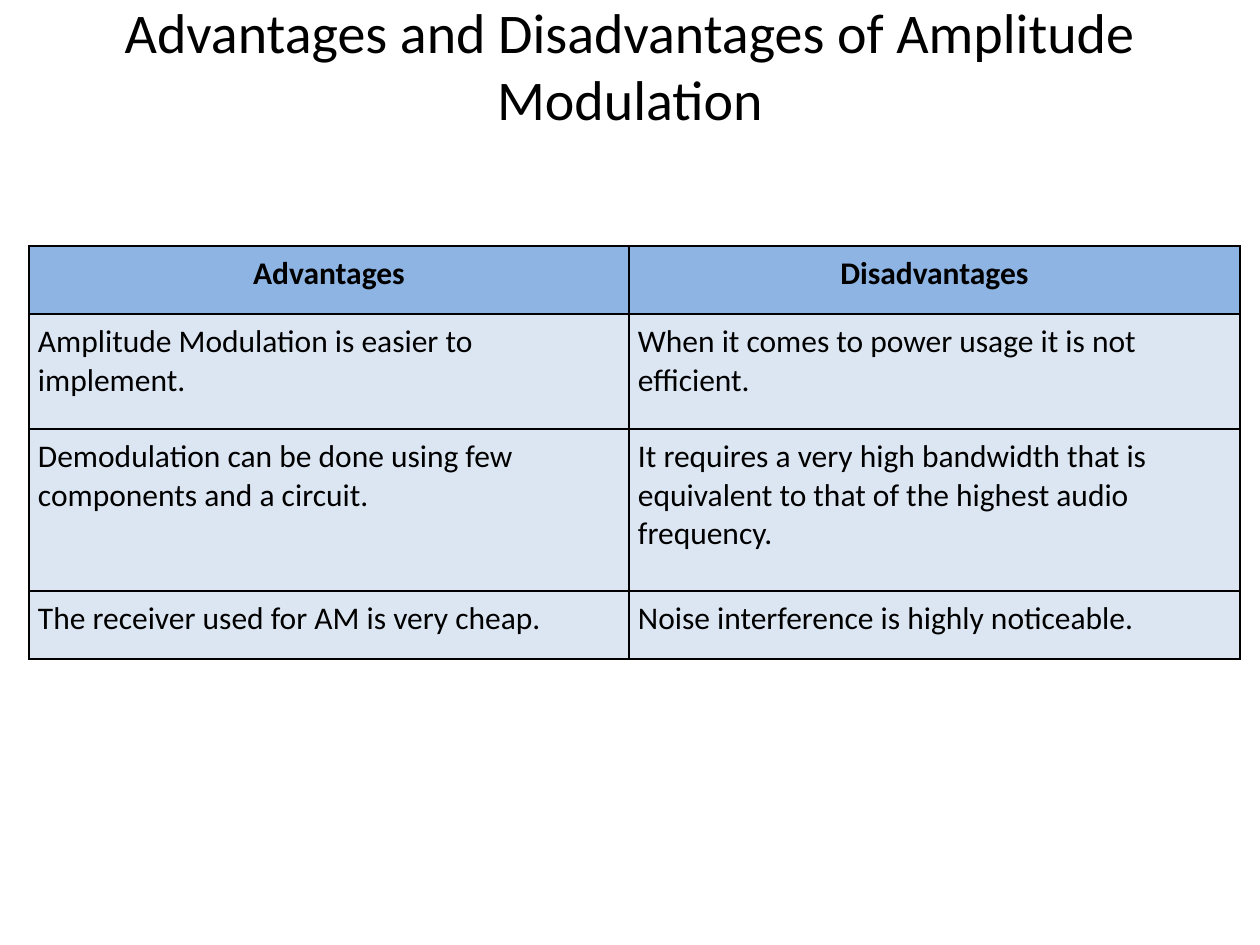
from dataclasses import dataclass

from lxml.etree import SubElement
from pptx import Presentation
from pptx.dml.color import RGBColor
from pptx.enum.text import MSO_ANCHOR, MSO_AUTO_SIZE, PP_ALIGN
from pptx.oxml.ns import qn
from pptx.util import Inches, Pt

SCALE = Inches(1) / 126


@dataclass(frozen=True)
class Theme:
    font: str = "Calibri"
    text: str = "000000"
    border: str = "000000"
    header_fill: str = "8EB4E3"
    body_fill: str = "DCE6F2"
    title_size: int = 32
    table_size: int = 18
    border_width: int = 1


THEME = Theme()

TITLE = "Advantages and Disadvantages of Amplitude Modulation"
COMPARISON = [
    ("Advantages", "Disadvantages"),
    (
        "Amplitude Modulation is easier to implement.",
        "When it comes to power usage it is not efficient.",
    ),
    (
        "Demodulation can be done using few components and a circuit.",
        "It requires a very high bandwidth that is equivalent to that of "
        "the highest audio frequency.",
    ),
    (
        "The receiver used for AM is very cheap.",
        "Noise interference is highly noticeable.\u00a0",
    ),
]
COLUMN_WIDTHS = [600, 611]
ROW_HEIGHTS = [68, 115, 162, 68]
CELL_MARGIN = 9


def px(length):
    return round(length * SCALE)


def format_paragraph(paragraph, size, alignment, bold=False):
    paragraph.alignment = alignment
    paragraph.font.name = THEME.font
    paragraph.font.size = Pt(size)
    paragraph.font.bold = bold
    paragraph.font.color.rgb = RGBColor.from_string(THEME.text)


def set_title(slide, text):
    title = slide.shapes.title
    title.left, title.top, title.width, title.height = map(px, (0, 0, 1260, 129))
    frame = title.text_frame
    frame.text = text
    frame.word_wrap = True
    frame.auto_size = MSO_AUTO_SIZE.NONE
    frame.vertical_anchor = MSO_ANCHOR.MIDDLE
    format_paragraph(frame.paragraphs[0], THEME.title_size, PP_ALIGN.CENTER)


def add_borders(cell):
    properties = cell._tc.get_or_add_tcPr()
    for side in ("a:lnL", "a:lnR", "a:lnT", "a:lnB"):
        line = SubElement(properties, qn(side), w=str(Pt(THEME.border_width)))
        fill = SubElement(line, qn("a:solidFill"))
        SubElement(fill, qn("a:srgbClr"), val=THEME.border)


def format_cell(cell, text, is_header):
    add_borders(cell)
    cell.fill.solid()
    color = THEME.header_fill if is_header else THEME.body_fill
    cell.fill.fore_color.rgb = RGBColor.from_string(color)
    cell.margin_left = cell.margin_right = px(CELL_MARGIN)
    cell.margin_top = cell.margin_bottom = px(CELL_MARGIN)
    cell.vertical_anchor = MSO_ANCHOR.TOP
    cell.text = text
    alignment = PP_ALIGN.CENTER if is_header else PP_ALIGN.LEFT
    format_paragraph(
        cell.text_frame.paragraphs[0], THEME.table_size, alignment, is_header
    )


def add_comparison_table(slide, left, top):
    table = slide.shapes.add_table(
        len(ROW_HEIGHTS), len(COLUMN_WIDTHS), px(left), px(top),
        px(sum(COLUMN_WIDTHS)), px(sum(ROW_HEIGHTS)),
    ).table
    table.horz_banding = False
    for column, width in zip(table.columns, COLUMN_WIDTHS):
        column.width = px(width)
    for row, height in zip(table.rows, ROW_HEIGHTS):
        row.height = px(height)
    for row_index, texts in enumerate(COMPARISON):
        for column_index, text in enumerate(texts):
            format_cell(table.cell(row_index, column_index), text, row_index == 0)


def main():
    presentation = Presentation()
    presentation.slide_width = px(1260)
    presentation.slide_height = px(945)
    slide = presentation.slides.add_slide(presentation.slide_layouts[5])
    set_title(slide, TITLE)
    add_comparison_table(slide, 29, 246)
    presentation.save("out.pptx")


if __name__ == "__main__":
    main()
